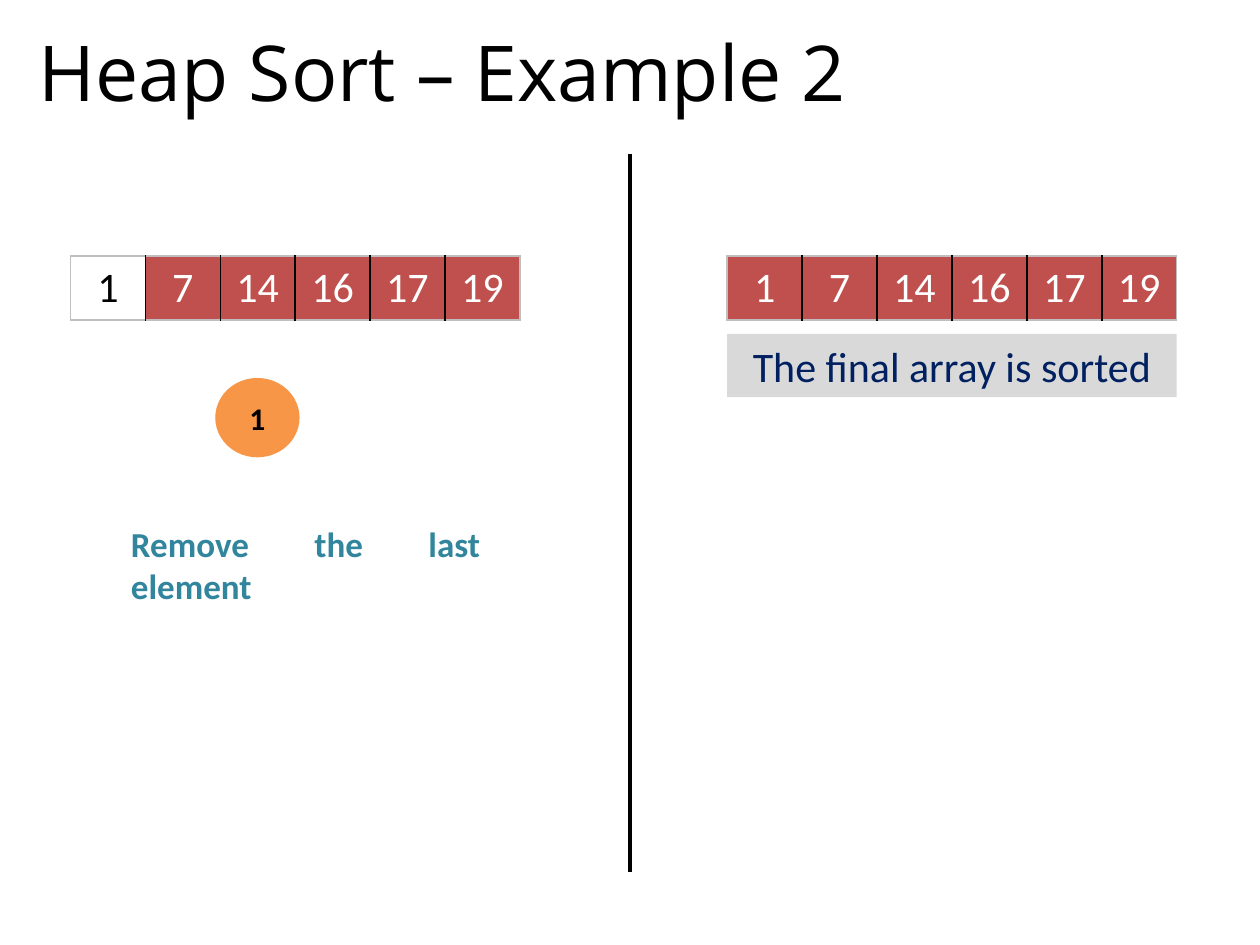
from lxml import etree
from pptx import Presentation
from pptx.dml.color import RGBColor
from pptx.enum.shapes import MSO_CONNECTOR, MSO_SHAPE
from pptx.enum.text import MSO_ANCHOR, PP_ALIGN
from pptx.oxml.ns import qn
from pptx.util import Cm, Pt

OVAL, RECT = MSO_SHAPE.OVAL, MSO_SHAPE.RECTANGLE
STRAIGHT = MSO_CONNECTOR.STRAIGHT
LEFT, CENTER, JUSTIFY = PP_ALIGN.LEFT, PP_ALIGN.CENTER, PP_ALIGN.JUSTIFY
TOP, MIDDLE = MSO_ANCHOR.TOP, MSO_ANCHOR.MIDDLE
BLACK, WHITE, RED, GREY = "000000", "FFFFFF", "C0504D", "BFBFBF"
VALUES = [1, 7, 14, 16, 17, 19]
COL_W, ROW_H, ARRAY_TOP = 1.51, 1.29, 5.16
LEFT_X, RIGHT_X = 1.42, 14.66


def rgb(value):
    """Turn a hex string into a colour."""
    return RGBColor.from_string(value)


def box(x, y, w, h):
    """Convert a position and size in centimetres."""
    return Cm(x), Cm(y), Cm(w), Cm(h)


def write(tf, text, size, color, align=CENTER, anchor=TOP, bold=False, font="Calibri"):
    """Put one formatted run into a text frame."""
    tf.word_wrap = True
    tf.vertical_anchor = anchor
    p = tf.paragraphs[0]
    p.alignment = align
    r = p.add_run()
    r.text = text
    r.font.size = Pt(size)
    r.font.name = font
    r.font.bold = bold
    r.font.color.rgb = rgb(color)


def add_filled(s, kind, bounds, fill):
    """Add a borderless filled shape and return its text frame."""
    sp = s.shapes.add_shape(kind, *bounds)
    sp.shadow.inherit = False
    sp.fill.solid()
    sp.fill.fore_color.rgb = rgb(fill)
    sp.line.fill.background()
    return sp.text_frame


def add_divider(s, x, top, bottom):
    """Draw the vertical line between the two steps."""
    line = s.shapes.add_connector(STRAIGHT, Cm(x), Cm(top), Cm(x), Cm(bottom))
    line.line.color.rgb = rgb(BLACK)
    line.line.width = Pt(2.25)
    etree.SubElement(line._element.spPr, qn("a:effectLst"))


def add_border(cell, side, color):
    """Add one solid border to a table cell."""
    tc_pr = cell._tc.get_or_add_tcPr()
    ln = etree.SubElement(tc_pr, qn(f"a:{side}"), w=str(Pt(1)))
    fill = etree.SubElement(ln, qn("a:solidFill"))
    etree.SubElement(fill, qn("a:srgbClr"), val=color)


def add_array(s, x, sorted_from):
    """Add the array as a table, with its sorted part in red."""
    n = len(VALUES)
    frame = s.shapes.add_table(1, n, *box(x, ARRAY_TOP, n * COL_W, ROW_H))
    table = frame.table
    table.first_row = table.horz_banding = False
    for i, value in enumerate(VALUES):
        table.columns[i].width = Cm(COL_W)
        cell = table.cell(0, i)
        add_border(cell, "lnL", BLACK if i else GREY)
        add_border(cell, "lnR", BLACK if i < n - 1 else GREY)
        add_border(cell, "lnT", GREY)
        add_border(cell, "lnB", GREY)
        is_sorted = i >= sorted_from
        if is_sorted:
            cell.fill.solid()
            cell.fill.fore_color.rgb = rgb(RED)
        else:
            cell.fill.background()
        write(cell.text_frame, str(value), 24, WHITE if is_sorted else BLACK)


def main():
    """Build the heap sort slide."""
    prs = Presentation()
    prs.slide_width, prs.slide_height = Cm(25.4), Cm(19.05)
    s = prs.slides.add_slide(prs.slide_layouts[5])

    title = s.shapes.title
    title.left, title.top, title.width, title.height = box(0.53, 0.3, 24.33, 2.24)
    write(title.text_frame, "Heap Sort – Example 2", 44, BLACK, LEFT, MIDDLE, font="Open Sans")

    root = add_filled(s, OVAL, box(4.34, 7.62, 1.7, 1.6), "F79646")
    root.margin_left = root.margin_right = 0
    write(root, "1", 18, BLACK, anchor=MIDDLE, bold=True)
    add_divider(s, 12.7, 3.1, 17.58)
    add_array(s, RIGHT_X, 0)
    add_array(s, LEFT_X, 1)

    step = s.shapes.add_textbox(*box(2.39, 10.41, 7.54, 1.96)).text_frame
    write(step, "Remove the last element", 20, "31859C", JUSTIFY, bold=True)
    result = add_filled(s, RECT, box(RIGHT_X, 6.73, len(VALUES) * COL_W, 1.28), "D9D9D9")
    write(result, "The final array is sorted", 24, "002060")

    prs.save("out.pptx")


if __name__ == "__main__":
    main()
